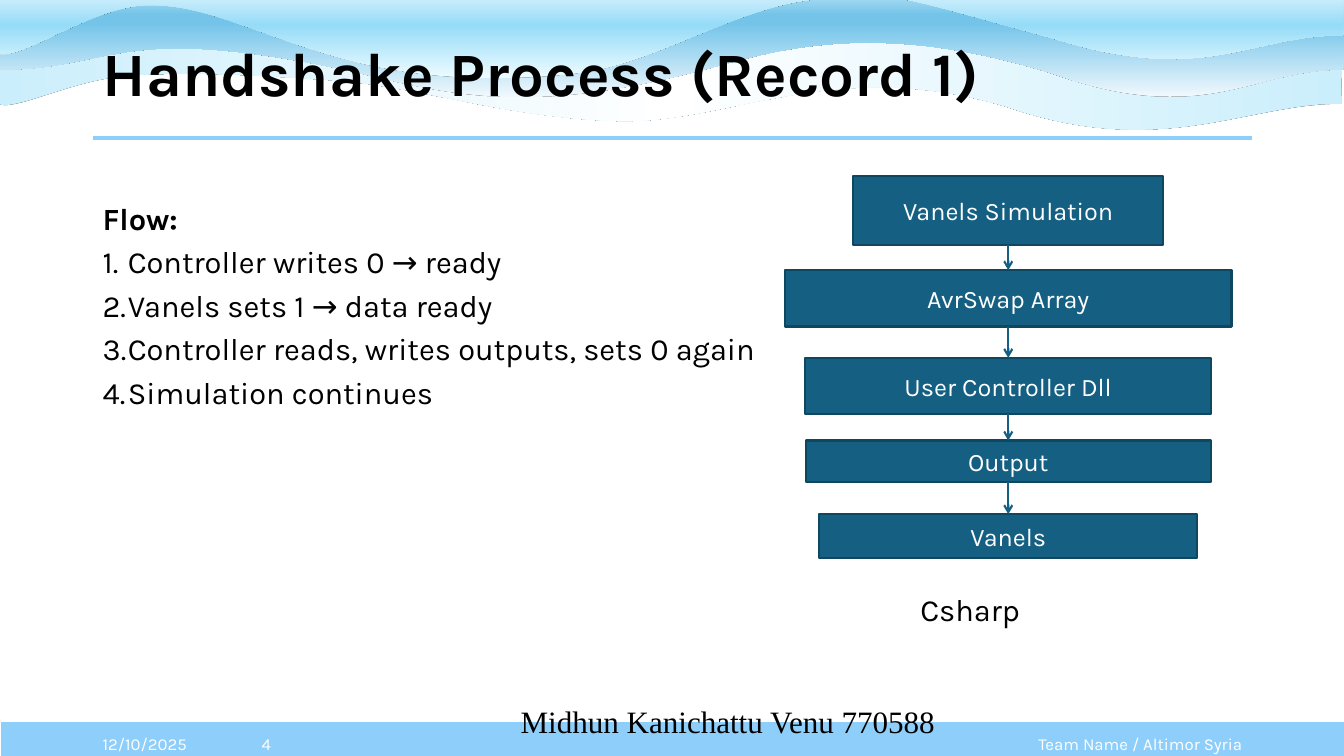
"""Build the handshake process slide with a wave header and a flow diagram."""
from lxml.etree import SubElement
from pptx import Presentation
from pptx.dml.color import RGBColor
from pptx.enum.shapes import MSO_CONNECTOR, MSO_SHAPE
from pptx.enum.text import MSO_ANCHOR, PP_ALIGN
from pptx.oxml import parse_xml
from pptx.oxml.ns import nsdecls, qn
from pptx.util import Inches, Pt

BLACK = RGBColor(0x00, 0x00, 0x00)
WHITE = RGBColor(0xFF, 0xFF, 0xFF)
SKY = RGBColor(0x8E, 0xCE, 0xFA)
TEAL = RGBColor(0x15, 0x60, 0x82)
DARK_TEAL = RGBColor(0x10, 0x47, 0x60)


def write(sp, lines, anchor=MSO_ANCHOR.TOP, align=PP_ALIGN.LEFT, spacing=1.0, **font):
    tf = sp.text_frame
    tf.word_wrap = True
    tf.vertical_anchor = anchor
    for i, line in enumerate(lines):
        p = tf.paragraphs[0] if i == 0 else tf.add_paragraph()
        p.alignment = align
        p.line_spacing = spacing
        p.space_before = Pt(10 if i else 0)
        r = p.add_run()
        r.text = line
        style = {"name": "Karla", "size": Pt(22), "bold": False} | font
        r.font.color.rgb = style.pop("color", BLACK)
        for key, value in style.items():
            setattr(r.font, key, value)


def connect(x1, y1, x2, y2, color, width):
    line = s.shapes.add_connector(
        MSO_CONNECTOR.STRAIGHT, Inches(x1), Inches(y1), Inches(x2), Inches(y2))
    line.line.color.rgb = color
    line.line.width = Pt(width)
    SubElement(line._element.spPr, qn("a:effectLst"))
    return line


prs = Presentation()
prs.slide_width, prs.slide_height = Inches(13.33), Inches(7.5)
s = prs.slides.add_slide(prs.slide_layouts[6])

sp = s.shapes.add_shape(MSO_SHAPE.RECTANGLE, 0, Inches(7.15), Inches(13.35), Inches(0.4))
sp.shadow.inherit = False
sp.fill.solid()
sp.fill.fore_color.rgb = SKY
sp.line.color.rgb = WHITE
sp.line.width = Pt(1.5)

waves = [
    ((-0.04, 0.3, 13.36, 0.98), (13.3, 1.03),
     [(12.37, 1.02, 11.52, 1.59, 9.99, 1.06), (8.27, 0.54, 7.21, 1.24, 6.1, 1.2),
      (4.99, 1.16, 4.21, 0.87, 3.35, 0.8), (2.49, 0.74, 1.83, 0.71, 1.27, 0.75),
      (0.71, 0.79, 0.14, 1.11, -0.02, 1.03), (-0.02, 0.8, -0.04, 0.53, -0.04, 0.3)],
     [(3.13, 0.31), (6.52, 0.34), (9.41, 0.32), (13.32, 0.34)],
     [(0, "CAEEFB"), (50, "FFFFFF"), (100, "CAEEFB")], 0),
    ((0, -0.02, 13.33, 0.98), (13.32, 0.69),
     [(12.39, 0.69, 11.96, 1.27, 10.44, 0.73), (8.71, 0.19, 7.73, 0.49, 7.06, 0.67),
      (5.28, 1.14, 4.59, 0.97, 3.46, 0.7), (1.13, 0.21, 1.15, 0.69, 0, 0.69),
      (0, 0.46, 0.01, 0.23, 0.01, -0.01)],
     [(3.13, 0), (6.54, -0.02), (9.46, -0.01), (13.33, 0.03)],
     [(0, "F0F8FD"), (74, "74C4E9"), (83, "74C4E9"), (100, "A2D8F0")], 90),
    ((-0.03, -0.28, 13.36, 1.06), (13.32, 0.35),
     [(12.39, 0.35, 11.96, 0.86, 10.44, 0.38), (8.72, -0.09, 8.91, -0.07, 8.13, -0.01),
      (7.35, 0.04, 6.53, 0.62, 5.76, 0.72), (4.98, 0.82, 4.24, 0.79, 3.47, 0.6),
      (2.58, 0.36, 2.07, 0.05, 1.5, 0.05), (0.92, 0.04, 0.22, 0.61, -0.03, 0.53),
      (-0.02, 0.32, 0.01, -0.06, 0.01, -0.27)],
     [(3.13, -0.26), (6.54, -0.28), (9.46, -0.27), (13.33, -0.24)],
     [(0, "EFFCFF"), (50, "96DCF8"), (100, "FFFFFF")], 90),
]
for (x, y, w, h), start, curves, edge, stops, angle in waves:
    right, bottom = x + w, y + h
    builder = s.shapes.build_freeform(Inches(x), Inches(y))
    builder.add_line_segments([(Inches(a), Inches(b)) for a, b in
                               ((right, y), (right, bottom), (x, bottom))])
    sp = builder.convert_to_shape()
    sp.rotation = 180
    sp.line.fill.background()
    outline = sp._element.spPr.find(".//" + qn("a:path"))
    for step in list(outline):
        outline.remove(step)
    steps = ([("a:moveTo", start)] + [("a:cubicBezTo", c) for c in curves]
             + [("a:lnTo", point) for point in edge])
    for tag, values in steps:
        step = SubElement(outline, qn(tag))
        for px, py in zip(values[::2], values[1::2]):
            SubElement(step, qn("a:pt"), x=str(Inches(right - px)), y=str(Inches(bottom - py)))
    SubElement(outline, qn("a:close"))
    marks = "".join(f'<a:gs pos="{pos * 1000}"><a:srgbClr val="{color}"/></a:gs>'
                    for pos, color in stops)
    sp._element.spPr.find(qn("a:custGeom")).addnext(parse_xml(
        f'<a:gradFill {nsdecls("a")} rotWithShape="1"><a:gsLst>{marks}</a:gsLst>'
        f'<a:lin ang="{angle * 60000}" scaled="0"/></a:gradFill>'))
    sp._element.spPr.append(parse_xml(
        f'<a:effectLst {nsdecls("a")}><a:outerShdw blurRad="0" dist="0" dir="0">'
        '<a:srgbClr val="000000"/></a:outerShdw></a:effectLst>'))

connect(0.92, 1.37, 12.42, 1.37, SKY, 3)

flow = ["Flow:", "Controller writes 0 → ready", "Vanels sets 1 → data ready",
        "Controller reads, writes outputs, sets 0 again", "Simulation continues"]
middle = {"anchor": MSO_ANCHOR.MIDDLE}
footer = middle | {"size": Pt(12), "color": WHITE}
texts = [
    (0.92, 0.36, 11.5, 0.8, ["Handshake Process (Record 1)"],
     middle | {"size": Pt(44), "bold": True, "spacing": 0.9}),
    (0.92, 2, 6.8, 2.3, flow, {"spacing": 0.8}),
    (9.03, 5.88, 1.5, 0.4, ["Csharp"], {"spacing": 0.8}),
    (0.92, 7.18, 1.22, 0.4, ["12/10/2025"], footer),
    (9.27, 7.18, 3.15, 0.4, ["Team Name / Altimor Syria"], footer | {"align": PP_ALIGN.RIGHT}),
    (2.13, 7.18, 1.02, 0.4, ["4"], footer | {"align": PP_ALIGN.CENTER}),
    (4.16, 6.99, 6.12, 0.4, ["Midhun Kanichattu Venu 770588"],
     {"name": "Times New Roman", "size": Pt(22.2), "spacing": 0.8, "align": PP_ALIGN.CENTER}),
]
for x, y, w, h, lines, style in texts:
    sp = s.shapes.add_textbox(Inches(x), Inches(y), Inches(w), Inches(h))
    write(sp, lines, **style)
    if lines is flow:
        sp.text_frame.paragraphs[0].runs[0].font.bold = True
        for p in sp.text_frame.paragraphs[1:]:
            pPr = p._p.get_or_add_pPr()
            pPr.set("marL", str(Inches(0.25)))
            pPr.set("indent", str(-Inches(0.25)))
            SubElement(pPr, qn("a:buFont"), typeface="+mj-lt")
            SubElement(pPr, qn("a:buAutoNum"), type="arabicPeriod")

CENTER = 10
boxes = [
    ("Vanels Simulation", 1.75, 3.07, 0.68),
    ("AvrSwap Array", 2.68, 4.43, 0.56),
    ("User Controller Dll", 3.55, 4.03, 0.56),
    ("Output", 4.37, 4.02, 0.41),
    ("Vanels", 5.1, 3.75, 0.44),
]
for label, top, width, height in boxes:
    sp = s.shapes.add_shape(MSO_SHAPE.RECTANGLE, Inches(CENTER - width / 2), Inches(top),
                            Inches(width), Inches(height))
    sp.shadow.inherit = False
    sp.fill.solid()
    sp.fill.fore_color.rgb = TEAL
    sp.line.color.rgb = DARK_TEAL
    sp.line.width = Pt(1.5)
    write(sp, [label], MSO_ANCHOR.MIDDLE, PP_ALIGN.CENTER, size=Pt(18), color=WHITE)

for (_, top, _, height), (_, below, _, _) in zip(boxes, boxes[1:]):
    arrow = connect(CENTER, top + height, CENTER, below, TEAL, 1.5)
    SubElement(arrow.line._get_or_add_ln(), qn("a:tailEnd"), type="arrow")

prs.save("out.pptx")
